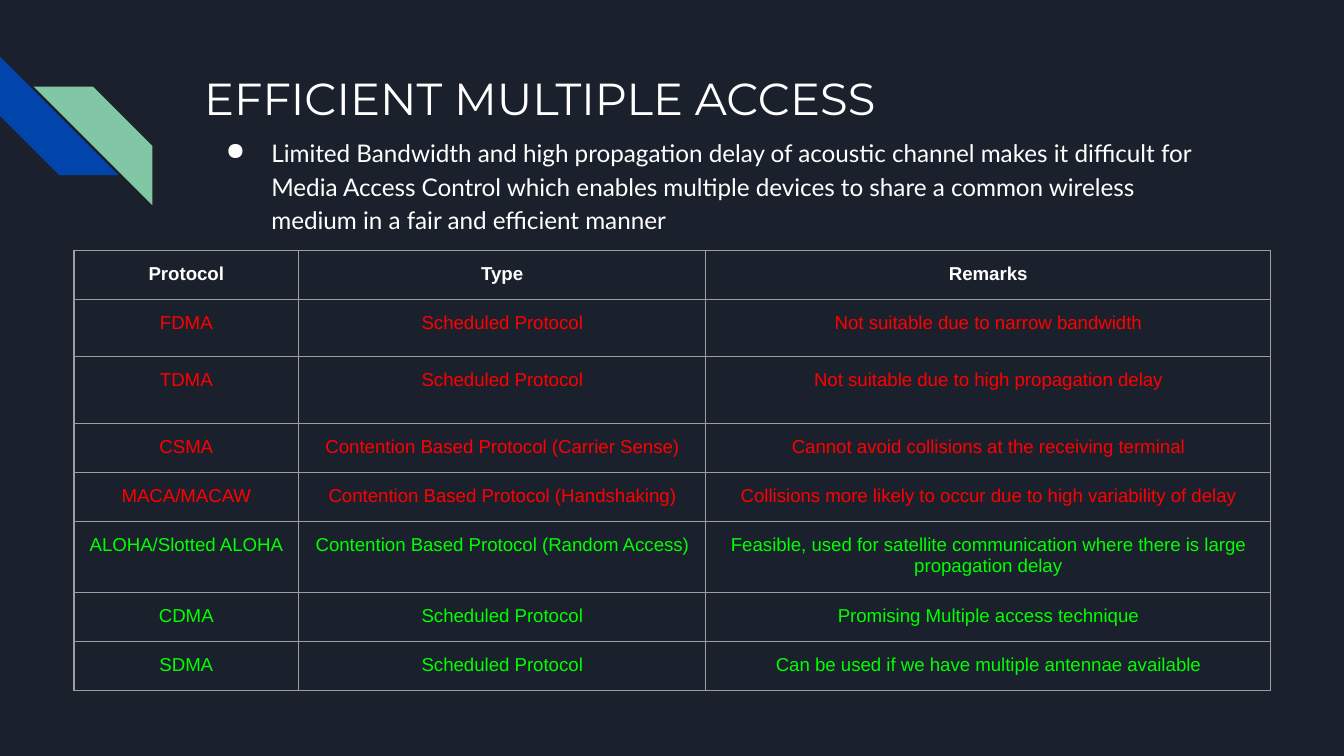
from lxml.etree import SubElement
from pptx import Presentation
from pptx.dml.color import RGBColor
from pptx.enum.shapes import MSO_SHAPE as SHAPE
from pptx.enum.text import MSO_ANCHOR as ANCHOR, PP_ALIGN as ALIGN
from pptx.oxml import parse_xml
from pptx.oxml.ns import nsdecls, qn
from pptx.util import Cm, Pt

WHITE, RED, GREEN = "FFFFFF", "FF0000", "00FF00"
SCHEDULED = "Scheduled Protocol"
CONTENTION = "Contention Based Protocol"
HEADER = ("Protocol", "Type", "Remarks")
PROTOCOLS = [
    (RED, 1.07, "FDMA", SCHEDULED, "Not suitable due to narrow bandwidth"),
    (RED, 1.27, "TDMA", SCHEDULED, "Not suitable due to high propagation delay"),
    (RED, 0.84, "CSMA", f"{CONTENTION} (Carrier Sense)",
     "Cannot avoid collisions at the receiving terminal"),
    (RED, 0.84, "MACA/MACAW", f"{CONTENTION} (Handshaking)",
     "Collisions more likely to occur due to high variability of delay"),
    (GREEN, 0.84, "ALOHA/Slotted ALOHA", f"{CONTENTION} (Random Access)",
     "Feasible, used for satellite communication where there is large propagation delay"),
    (GREEN, 0.84, "CDMA", SCHEDULED, "Promising Multiple access technique"),
    (GREEN, 0.84, "SDMA", SCHEDULED, "Can be used if we have multiple antennae available"),
]


def paint(target, color):
    """Give a fill or font a solid hex colour."""
    if hasattr(target, "solid"):
        target.solid()
        target.fore_color.rgb = RGBColor.from_string(color)
    else:
        target.color.rgb = RGBColor.from_string(color)


def add_run(p, text, size, font, color, bold=False):
    """Append one formatted run to a paragraph."""
    r = p.add_run()
    r.text = text
    r.font.size, r.font.name, r.font.bold = Pt(size), font, bold
    paint(r.font, color)


def add_text(s, x, y, w, h):
    """Add a wrapped text box and return its first paragraph."""
    tf = s.shapes.add_textbox(Cm(x), Cm(y), Cm(w), Cm(h)).text_frame
    tf.word_wrap = True
    tf.vertical_anchor = ANCHOR.TOP
    tf.margin_left = tf.margin_right = tf.margin_top = tf.margin_bottom = Cm(0.25)
    return tf.paragraphs[0]


def add_stripes(s, x, y, size):
    """Draw the two interlocking diagonal stripes."""
    for dx, dy, color in ((0, 0, "0145AC"), (0.64, 0.57, "82C7A5")):
        sp = s.shapes.add_shape(SHAPE.DIAGONAL_STRIPE, Cm(x + dx), Cm(y + dy), Cm(size), Cm(size))
        sp.shadow.inherit = False
        sp.line.fill.background()
        paint(sp.fill, color)
        if dx:
            sp.element.spPr.find(qn("a:xfrm")).set("flipH", "1")
        else:
            sp.rotation = 270


def add_heading(s, x, y, w):
    """Place the title and the bulleted introduction below it."""
    add_run(add_text(s, x, y, w, 2.54), "EFFICIENT MULTIPLE ACCESS", 24, "Montserrat", WHITE)
    p = add_text(s, x, y + 1.2, w, 6.22)
    p.line_spacing = 1.15
    pPr = p._p.get_or_add_pPr()
    pPr.set("marL", str(Cm(1.27)))
    pPr.set("indent", str(Cm(-0.86)))
    SubElement(SubElement(pPr, qn("a:buClr")), qn("a:srgbClr")).set("val", WHITE)
    SubElement(pPr, qn("a:buChar")).set("char", "●")
    add_run(p, "Limited Bandwidth and high propagation delay of acoustic channel makes it "
            "difficult for Media Access Control which enables multiple devices to share a "
            "common wireless medium in a fair and efficient manner", 13, "Lato", WHITE)


def add_borders(cell, color, width):
    """Draw a solid line on all four sides of a cell."""
    tcPr = cell._tc.get_or_add_tcPr()
    for i, side in enumerate("LRTB"):
        tcPr.insert(i, parse_xml(
            f'<a:ln{side} {nsdecls("a")} w="{Pt(width)}"><a:solidFill>'
            f'<a:srgbClr val="{color}"/></a:solidFill></a:ln{side}>'))


def add_protocols(s, x, y, w):
    """Build the table of protocols."""
    rows = [(WHITE, 0.84, *HEADER), *PROTOCOLS]
    height = sum(row[1] for row in rows)
    table = s.shapes.add_table(len(rows), 3, Cm(x), Cm(y), Cm(w), Cm(height)).table
    table.first_row = table.horz_banding = False
    for column, share in zip(table.columns, (1.67, 3.03, 4.2)):
        column.width = Cm(round(w * share / 8.9, 2))
    for i, (color, row_height, *texts) in enumerate(rows):
        table.rows[i].height = Cm(row_height)
        for cell, text in zip(table.rows[i].cells, texts):
            cell.margin_left = cell.margin_right = Cm(0.25)
            cell.margin_top = cell.margin_bottom = Cm(0.25)
            cell.fill.background()
            add_borders(cell, "9E9E9E", 0.75)
            p = cell.text_frame.paragraphs[0]
            p.alignment = ALIGN.CENTER
            add_run(p, text, 10, "Arial", color, bold=i == 0)


def main():
    """Build the slide and save it."""
    prs = Presentation()
    prs.slide_width, prs.slide_height = Cm(25.4), Cm(14.29)
    s = prs.slides.add_slide(prs.slide_layouts[6])
    paint(s.background.fill, "1B212C")
    add_stripes(s, 0, 1.07, 2.24)
    add_heading(s, 3.61, 1.09, 19.56)
    add_protocols(s, 1.4, 4.74, 22.61)
    prs.save("out.pptx")


main()
